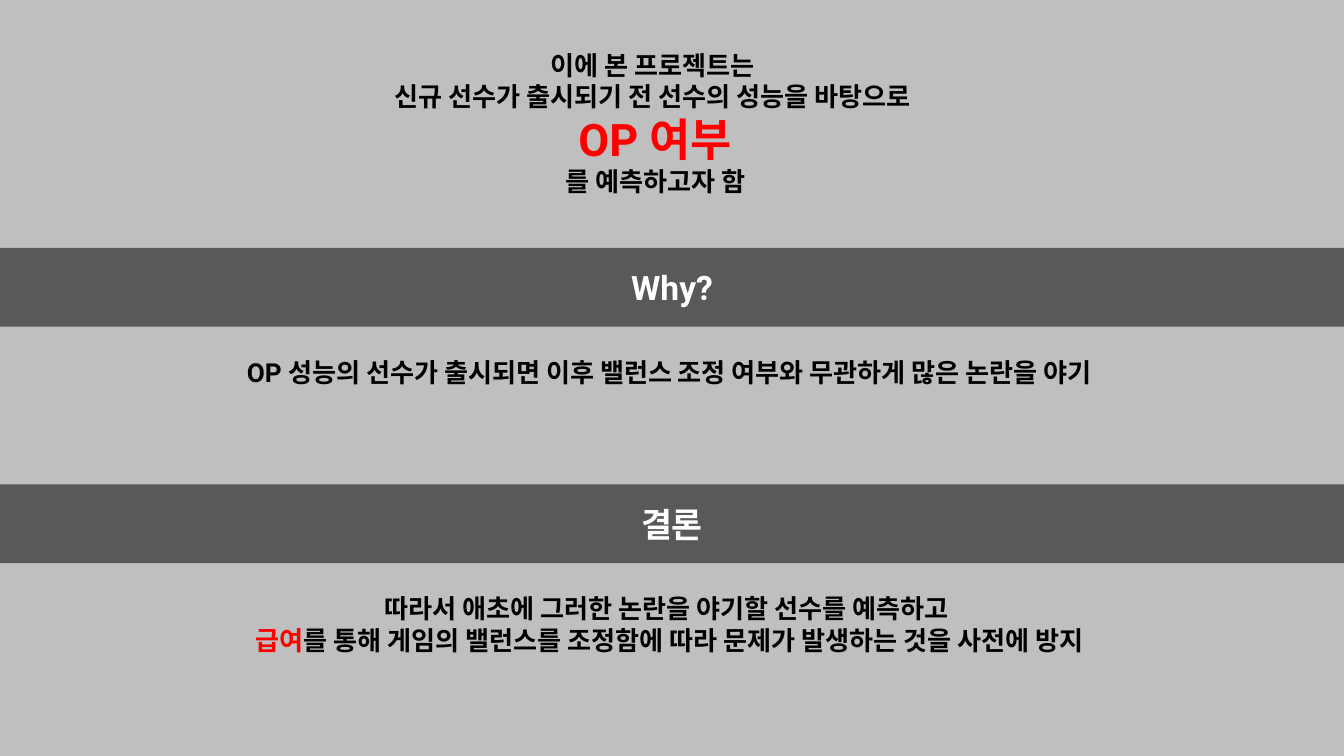
from dataclasses import dataclass

from pptx import Presentation
from pptx.dml.color import RGBColor
from pptx.enum.shapes import MSO_SHAPE
from pptx.enum.text import MSO_ANCHOR, MSO_AUTO_SIZE, PP_ALIGN
from pptx.util import Inches, Pt

RECTANGLE = MSO_SHAPE.RECTANGLE
CENTER = PP_ALIGN.CENTER
MIDDLE = MSO_ANCHOR.MIDDLE
GROW = MSO_AUTO_SIZE.SHAPE_TO_FIT_TEXT

FONT = "Roboto"
BLACK, WHITE, RED = "000000", "FFFFFF", "FF0000"
LIGHT_GRAY, DARK_GRAY = "BFBFBF", "595959"
WIDTH, HEIGHT = 20, 11.25


@dataclass
class Line:
    phrases: list[tuple[str, str]]  # (wording, colour)
    size: int = 28


@dataclass
class Statement:
    left: float
    top: float
    width: float
    height: float
    lines: list[Line]


@dataclass
class Heading:
    top: float
    title: str


STATEMENTS = [
    Statement(4.57, 0.68, 10.36, 2.32, [
        Line([("이에 본 프로젝트는 ", BLACK)]),
        Line([("신규 선수가 출시되기 전 선수의 성능을 바탕으로 ", BLACK)]),
        Line([("OP 여부", RED)], 48),
        Line([("를 예측하고자 함", BLACK)]),
    ]),
    Statement(-0.04, 5.25, WIDTH, 0.57, [
        Line([("OP 성능의 선수가 출시되면 이후 밸런스 조정 여부와 무관하게 많은 논란을 야기", BLACK)]),
    ]),
    Statement(-0.04, 8.77, WIDTH, 1.04, [
        Line([("따라서 애초에 그러한 논란을 야기할 선수를 예측하고 ", BLACK)]),
        Line([("급여", RED),
              ("를 통해 게임의 밸런스를 조정함에 따라 문제가 발생하는 것을 사전에 방지", BLACK)]),
    ]),
]
HEADINGS = [Heading(3.69, "Why?"), Heading(7.21, "결론")]


def color(value: str) -> RGBColor:
    return RGBColor.from_string(value)


def write_line(paragraph, line: Line) -> None:
    paragraph.alignment = CENTER
    paragraph.font.name = FONT
    paragraph.font.size = Pt(line.size)
    paragraph.font.bold = True
    for wording, shade in line.phrases:
        run = paragraph.add_run()
        run.text = wording
        run.font.color.rgb = color(shade)


def add_band(slide, top: float, height: float, shade: str):
    band = slide.shapes.add_shape(
        RECTANGLE, Inches(0), Inches(top), Inches(WIDTH), Inches(height))
    band.shadow.inherit = False
    band.fill.solid()
    band.fill.fore_color.rgb = color(shade)
    band.line.fill.background()
    return band


def add_heading(slide, heading: Heading) -> None:
    frame = add_band(slide, heading.top, 1.17, DARK_GRAY).text_frame
    frame.vertical_anchor = MIDDLE
    write_line(frame.paragraphs[0], Line([(heading.title, WHITE)], 36))


def add_statement(slide, statement: Statement) -> None:
    frame = slide.shapes.add_textbox(
        Inches(statement.left), Inches(statement.top),
        Inches(statement.width), Inches(statement.height)).text_frame
    frame.word_wrap = True
    frame.auto_size = GROW
    for index, line in enumerate(statement.lines):
        paragraph = frame.add_paragraph() if index else frame.paragraphs[0]
        write_line(paragraph, line)


def main() -> None:
    deck = Presentation()
    deck.slide_width, deck.slide_height = Inches(WIDTH), Inches(HEIGHT)
    slide = deck.slides.add_slide(deck.slide_layouts[6])

    # Gray backdrop
    add_band(slide, 0, 11.5, LIGHT_GRAY)

    # Goal, then each heading with its explanation
    goal, *explanations = STATEMENTS
    add_statement(slide, goal)
    for heading, explanation in zip(HEADINGS, explanations):
        add_heading(slide, heading)
        add_statement(slide, explanation)

    deck.save("out.pptx")


if __name__ == "__main__":
    main()
